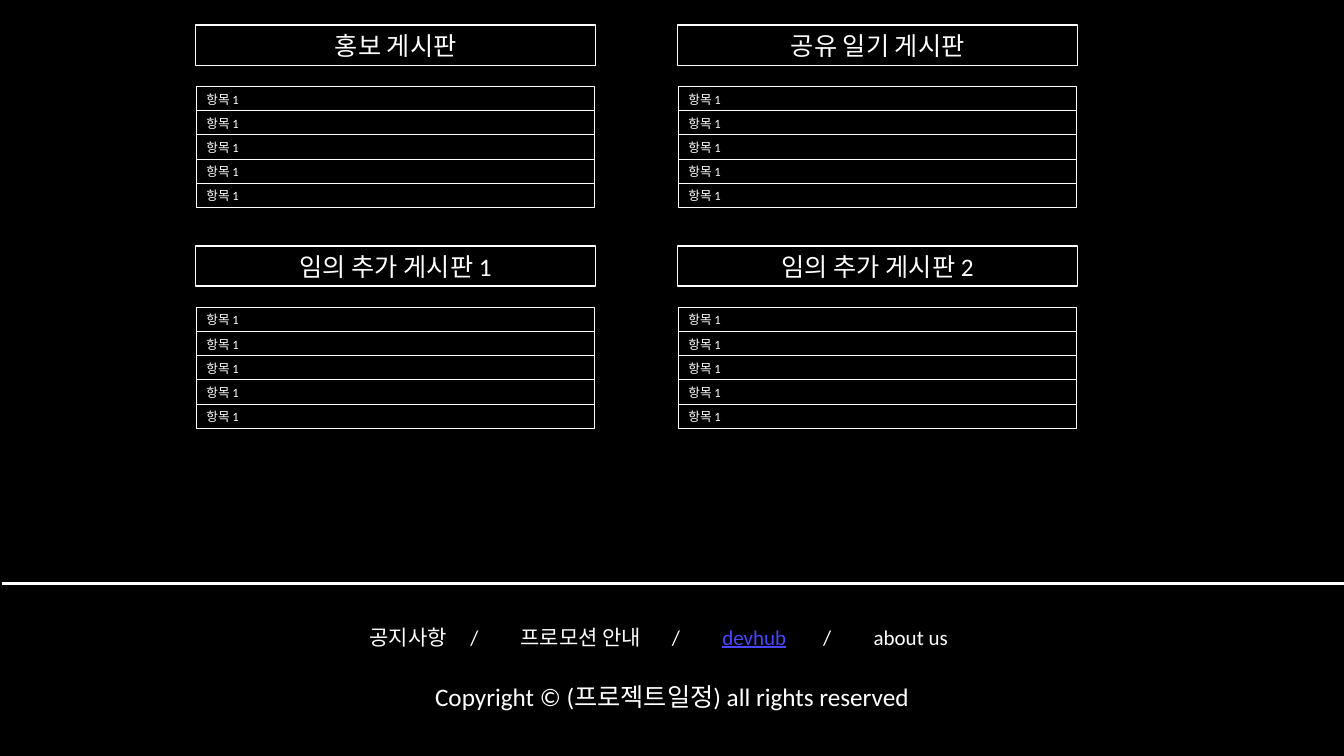
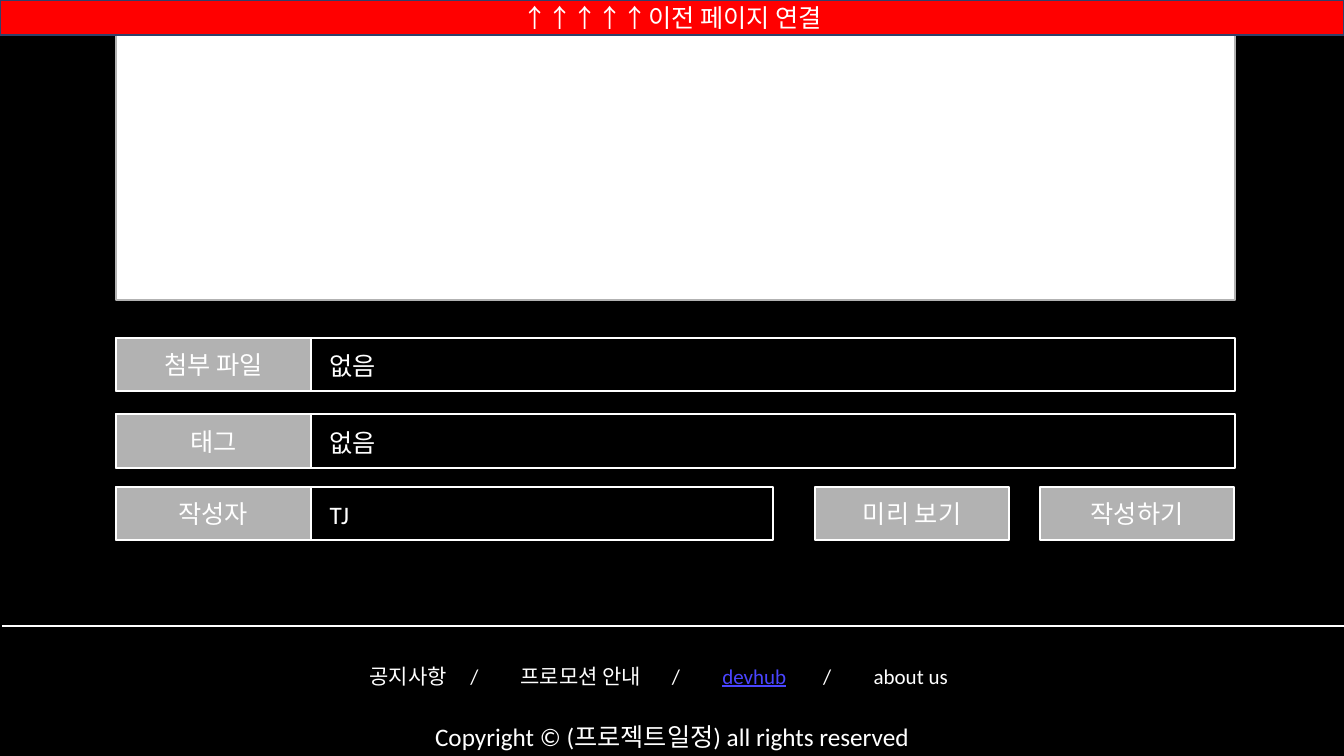
from pptx import Presentation
from pptx.dml.color import RGBColor
from pptx.enum.shapes import MSO_CONNECTOR, MSO_SHAPE
from pptx.enum.text import MSO_ANCHOR, MSO_AUTO_SIZE, PP_ALIGN
from pptx.oxml.ns import qn
from pptx.util import Inches, Pt
from lxml import etree

RECT = MSO_SHAPE.RECTANGLE
LINE = MSO_CONNECTOR.STRAIGHT
LEFT, CENTER = PP_ALIGN.LEFT, PP_ALIGN.CENTER
TOP, MIDDLE = MSO_ANCHOR.TOP, MSO_ANCHOR.MIDDLE
GROW = MSO_AUTO_SIZE.SHAPE_TO_FIT_TEXT

WIDE, HIGH = 13.33, 7.5
FONT = "Calibri"
WHITE, BLACK, GRAY = "FFFFFF", "000000", "B2B2B2"
RED, NAVY, BLUE = "FF0000", "30416A", "4A45FF"
LABEL_W, ROW_H, TEXT_H = 14.48, 7.07, 5.33


def color(code):
    return RGBColor.from_string(code)


def place(x, y, w, h):
    return (Inches(x * WIDE / 100), Inches(y * HIGH / 100),
            Inches(w * WIDE / 100), Inches(h * HIGH / 100))


def write(shape, *runs, size=18, align=CENTER, anchor=TOP, grow=True):
    frame = shape.text_frame
    frame.word_wrap = True
    frame.vertical_anchor = anchor
    if grow:
        frame.auto_size = GROW
    para = frame.paragraphs[0]
    para.alignment = align
    for text, look in runs:
        run = para.add_run()
        run.text = text
        run.font.name = FONT
        run.font.size = Pt(look.get("size", size))
        run.font.color.rgb = color(look.get("ink", WHITE))
        run.font.underline = look.get("under", False)


def rect(slide, box, fill=None, edge=WHITE, width=1.5):
    shape = slide.shapes.add_shape(RECT, *place(*box))
    shape.shadow.inherit = False
    if fill:
        shape.fill.solid()
        shape.fill.fore_color.rgb = color(fill)
    else:
        shape.fill.background()
    shape.line.color.rgb = color(edge)
    shape.line.width = Pt(width)
    return shape


def label(slide, box, text, fill=GRAY, edge=WHITE):
    write(rect(slide, box, fill, edge), (text, {}), anchor=MIDDLE, grow=False)


def note(slide, box, *runs, **look):
    write(slide.shapes.add_textbox(*place(*box)), *runs, **look)


def rule(slide, y):
    x, top, w, _ = place(0.15, y, 99.85, 0)
    line = slide.shapes.add_connector(LINE, x, top, x + w, top)
    line.line.color.rgb = color(WHITE)
    line.line.width = Pt(2)
    etree.SubElement(line._element.spPr, qn("a:effectLst"))


def footer(slide, line, links):
    rule(slide, line)
    note(slide, (0, links, 100, TEXT_H),
         ("\t", {"size": 18}),
         ("공지사항\t/ \t프로모션 안내\t/\t", {}),
         ("devhub", {"ink": BLUE, "under": True}),
         ("\t/\tabout us\t", {}),
         ("\t", {"size": 18}), size=15)
    note(slide, (0, links + 8.2, 100, TEXT_H),
         ("Copyright © (프로젝트일정) all rights reserved", {}))


def board(slide, x, y, title, count=5, step=3.2):
    write(rect(slide, (x, y, 29.78, TEXT_H), width=1), (title, {}))
    for row in range(count):
        box = (x + 0.08, y + 8.13 + row * step, 29.63, step)
        write(rect(slide, box, width=0.75), ("항목 1", {}), size=9, align=LEFT)


def field(slide, x, y, w, name, value):
    rect(slide, (x, y, w, ROW_H))
    label(slide, (x, y, LABEL_W, ROW_H), name)
    inset = LABEL_W + 0.68
    note(slide, (x + inset, y + 1, w - inset, TEXT_H), (value, {}), align=LEFT)


def page(deck):
    slide = deck.slides.add_slide(deck.slide_layouts[6])
    slide.background.fill.solid()
    slide.background.fill.fore_color.rgb = color(BLACK)
    return slide


def boards(deck):
    slide = page(deck)
    names = (("홍보 게시판", "공유 일기 게시판"),
             ("임의 추가 게시판 1", "임의 추가 게시판 2"))
    for y, pair in zip((3.33, 32.53), names):
        for x, name in zip((14.55, 50.41), pair):
            board(slide, x, y, name)
    footer(slide, 77.2, 81.33)


def editor(deck):
    slide = page(deck)
    x, w, last = 8.63, 83.27, 64.4
    rect(slide, (x, 0.27, w, 39.47), WHITE, GRAY)
    label(slide, (0, 0, 100, 4.67), "↑↑↑↑↑이전 페이지 연결", RED, NAVY)
    field(slide, x, 44.67, w, "첨부 파일", "없음")
    field(slide, x, 54.8, w, "태그", "없음")
    field(slide, x, last, 48.91, "작성자", "TJ")
    for col, name in enumerate(("미리 보기", "작성하기")):
        label(slide, (60.62 + col * 16.75, last, LABEL_W, ROW_H), name)
    footer(slide, 82.8, 86.53)


def main():
    deck = Presentation()
    deck.slide_width, deck.slide_height = Inches(WIDE), Inches(HIGH)
    boards(deck)
    editor(deck)
    deck.save("out.pptx")


if __name__ == "__main__":
    main()
